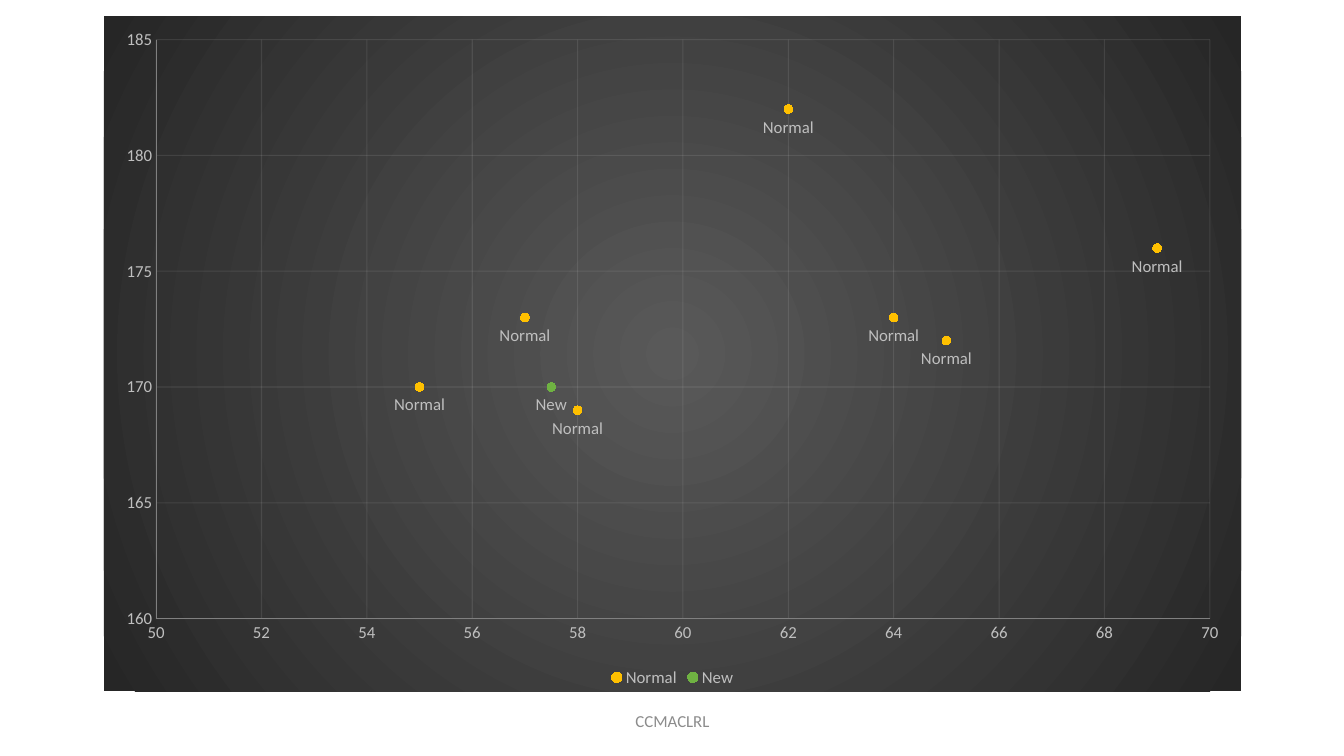
from dataclasses import dataclass

from lxml import etree
from pptx import Presentation
from pptx.chart import data as chart_data
from pptx.chart.datalabel import DataLabels
from pptx.dml.color import RGBColor
from pptx.enum import chart as ec, text as et
from pptx.oxml import ns, parse_xml
from pptx.util import Inches, Pt

FONT = "Calibri"
COLORS = {
    "underweight": "559BDB",
    "normal": "FFC000",
    "new": "6FB242",
    "label": "BFBFBF",
    "axis": "808080",
    "grid": "F2F2F2",
    "center": "595959",
    "edge": "262626",
    "footer": "8C8C8C",
}


@dataclass
class WeightClass:
    name: str
    color: str
    points: list[tuple[float, float]]


@dataclass
class Scale:
    minimum: float
    maximum: float
    step: float


WEIGHT_CLASSES = [
    WeightClass("Underweight", "underweight", []),
    WeightClass("Normal", "normal", [(62, 182), (69, 176), (64, 173), (65, 172),
                                     (58, 169), (57, 173), (55, 170)]),
    WeightClass("New", "new", [(57.5, 170)]),
]
WEIGHT_SCALE = Scale(50, 70, 2)
HEIGHT_SCALE = Scale(160, 185, 5)


def rgb(name: str) -> RGBColor:
    return RGBColor.from_string(COLORS[name])


def set_font(font, color: str) -> None:
    font.name = FONT
    font.size = Pt(12)
    font.color.rgb = rgb(color)


def style_axis(axis, scale: Scale) -> None:
    axis.minimum_scale = scale.minimum
    axis.maximum_scale = scale.maximum
    axis.major_unit = scale.step
    axis.major_tick_mark = axis.minor_tick_mark = ec.XL_TICK_MARK.NONE
    set_font(axis.tick_labels.font, "label")
    axis.has_major_gridlines = True
    for line, color in ((axis.format.line, "axis"),
                        (axis.major_gridlines.format.line, "grid")):
        line.width = Pt(0.75)
        line.color.rgb = rgb(color)
    grid_color = axis._element.xpath("c:majorGridlines//a:srgbClr")[0]
    etree.SubElement(grid_color, ns.qn("a:alpha"), val="10000")


def style_series(series, color: str) -> None:
    """Draw round markers with the series name below each."""
    series.format.line.fill.background()
    marker = series.marker
    marker.style = ec.XL_MARKER_STYLE.CIRCLE
    marker.size = 6
    marker.format.fill.solid()
    marker.format.fill.fore_color.rgb = rgb(color)
    marker.format.line.fill.background()
    labels = DataLabels(series._element.get_or_add_dLbls())
    labels.show_series_name = True
    labels.show_value = False
    labels.position = ec.XL_LABEL_POSITION.BELOW
    set_font(labels.font, "label")


def fill_chart_background(chart) -> None:
    """Give the chart area a circular gradient from its centre."""
    properties = parse_xml(
        f'<c:spPr {ns.nsdecls("c", "a")}><a:gradFill><a:gsLst>'
        f'<a:gs pos="0"><a:srgbClr val="{COLORS["center"]}"/></a:gs>'
        f'<a:gs pos="100000"><a:srgbClr val="{COLORS["edge"]}"/></a:gs>'
        '</a:gsLst><a:path path="circle">'
        '<a:fillToRect l="50000" t="50000" r="50000" b="50000"/></a:path>'
        '</a:gradFill><a:ln><a:noFill/></a:ln></c:spPr>'
    )
    chart._chartSpace.find(ns.qn("c:chart")).addnext(properties)


def add_weight_chart(slide) -> None:
    data = chart_data.XyChartData()
    for weight_class in WEIGHT_CLASSES:
        series_data = data.add_series(weight_class.name)
        for weight, height in weight_class.points:
            series_data.add_data_point(weight, height)
    chart = slide.shapes.add_chart(
        ec.XL_CHART_TYPE.XY_SCATTER, Inches(1.03), Inches(0.16),
        Inches(11.28), Inches(6.7), data).chart
    chart.has_title = False
    chart.font.name = FONT
    chart.font.size = Pt(10)
    fill_chart_background(chart)
    chart.has_legend = True
    chart.legend.position = ec.XL_LEGEND_POSITION.BOTTOM
    chart.legend.include_in_layout = False
    set_font(chart.legend.font, "label")
    style_axis(chart.category_axis, WEIGHT_SCALE)
    style_axis(chart.value_axis, HEIGHT_SCALE)
    plot = chart.plots[0]
    plot.vary_by_categories = False
    for series, weight_class in zip(plot.series, WEIGHT_CLASSES):
        style_series(series, weight_class.color)


def add_footer(slide) -> None:
    frame = slide.shapes.add_textbox(
        Inches(4.42), Inches(6.95), Inches(4.5), Inches(0.4)).text_frame
    frame.word_wrap = True
    frame.vertical_anchor = et.MSO_ANCHOR.MIDDLE
    paragraph = frame.paragraphs[0]
    paragraph.text = "CCMACLRL"
    paragraph.alignment = et.PP_ALIGN.CENTER
    set_font(paragraph.font, "footer")


def main() -> None:
    presentation = Presentation()
    presentation.slide_width = Inches(13.33)
    presentation.slide_height = Inches(7.5)
    slide = presentation.slides.add_slide(presentation.slide_layouts[6])
    add_weight_chart(slide)
    add_footer(slide)
    presentation.save("out.pptx")


if __name__ == "__main__":
    main()
